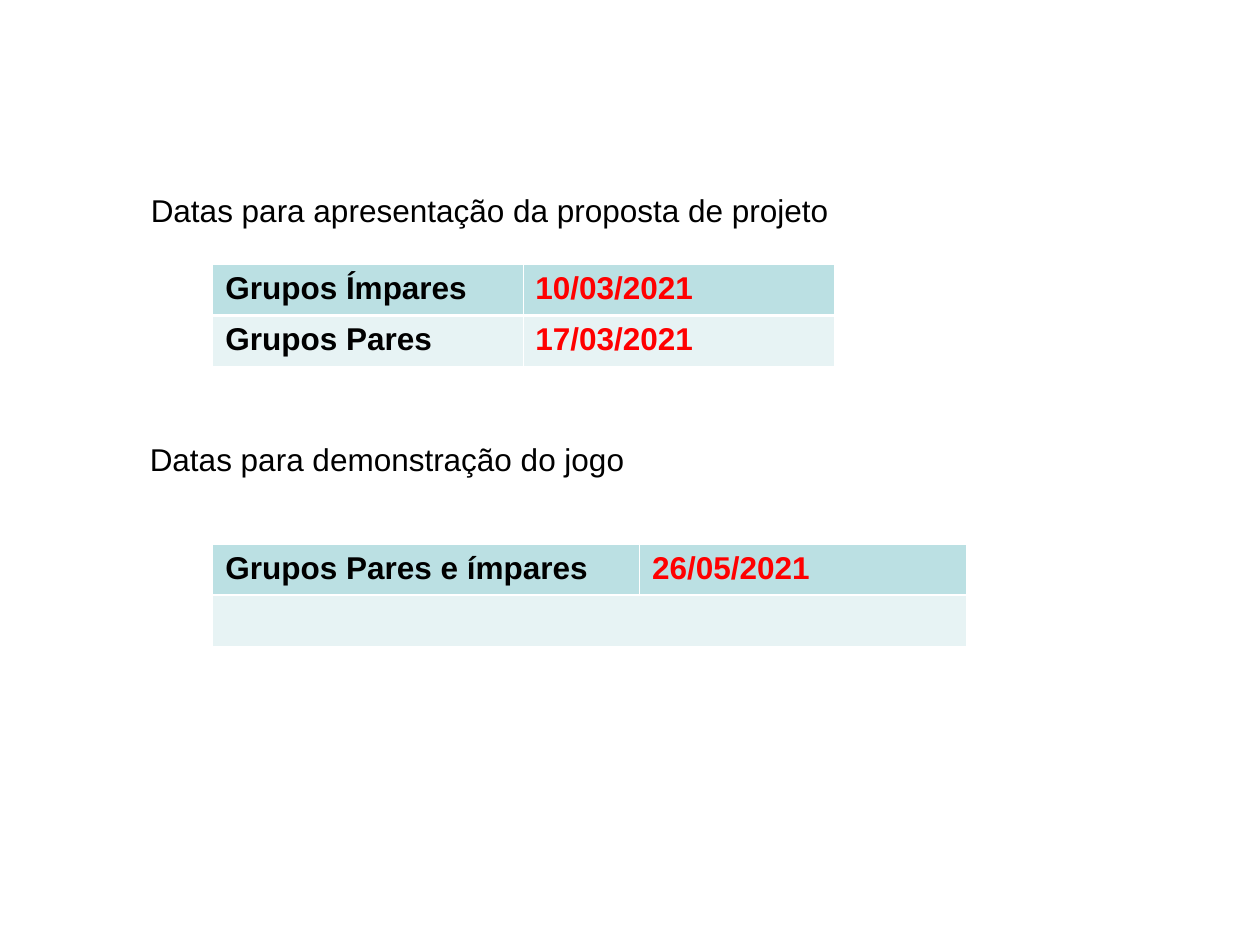
from lxml.etree import SubElement
from pptx import Presentation
from pptx.dml.color import RGBColor
from pptx.enum.text import MSO_AUTO_SIZE
from pptx.oxml.ns import qn
from pptx.util import Cm, Pt

BLACK, RED, WHITE = "000000", "FF0000", "FFFFFF"
ROW_FILLS = ("BBE0E3", "E7F3F4")
ROW_HEIGHT = 1.03
TABLE_LEFT = 4.29
THIN, THICK = 0.45, 1.47


def color(value):
    return RGBColor.from_string(value)


def write_text(text_frame, text, size=18, fill=BLACK, bold=False):
    paragraph = text_frame.paragraphs[0]
    run = paragraph.add_run()
    run.text = text
    run.font.name = "Arial"
    run.font.size = Pt(size)
    run.font.bold = bold
    run.font.color.rgb = color(fill)


def add_heading(slide, text, left, top, width, wrap):
    shape = slide.shapes.add_textbox(Cm(left), Cm(top), Cm(width), Cm(1.02))
    text_frame = shape.text_frame
    text_frame.word_wrap = wrap
    text_frame.auto_size = MSO_AUTO_SIZE.SHAPE_TO_FIT_TEXT
    write_text(text_frame, text)


def add_borders(cell, top, bottom):
    """White lines on the four sides; the sides are always thin."""
    properties = cell._tc.get_or_add_tcPr()
    for side, width in (("L", THIN), ("R", THIN), ("T", top), ("B", bottom)):
        line = SubElement(properties, qn(f"a:ln{side}"), w=str(Pt(width)))
        fill = SubElement(line, qn("a:solidFill"))
        SubElement(fill, qn("a:srgbClr"), val=WHITE)


def add_date_table(slide, top, widths, rows):
    """Each row holds a group and its date; an empty row is merged."""
    frame = slide.shapes.add_table(
        len(rows), len(widths), Cm(TABLE_LEFT), Cm(top),
        Cm(sum(widths)), Cm(ROW_HEIGHT * len(rows)))
    table = frame.table
    for column, width in zip(table.columns, widths):
        column.width = Cm(width)
    for row_index, texts in enumerate(rows):
        table.rows[row_index].height = Cm(ROW_HEIGHT)
        top_line, bottom_line = (THICK, THIN) if row_index else (THIN, THICK)
        for column_index in range(len(widths)):
            cell = table.cell(row_index, column_index)
            add_borders(cell, top_line, bottom_line)
            cell.fill.solid()
            cell.fill.fore_color.rgb = color(ROW_FILLS[row_index])
            if texts:
                write_text(cell.text_frame, texts[column_index], bold=True,
                           fill=RED if column_index else BLACK)
        if not texts:
            table.cell(row_index, 0).merge(
                table.cell(row_index, len(widths) - 1))


def main():
    presentation = Presentation()
    presentation.slide_width, presentation.slide_height = Cm(25.4), Cm(19.05)
    slide = presentation.slides.add_slide(presentation.slide_layouts[6])

    # Project proposal dates
    add_heading(slide, "Datas para apresentação da proposta de projeto",
                2.79, 3.73, 14.17, wrap=False)
    add_date_table(slide, 5.33, (6.25, 6.27), (
        ("Grupos Ímpares", "10/03/2021"),
        ("Grupos Pares", "17/03/2021")))

    # Game demonstration dates
    add_heading(slide, "Datas para demonstração do jogo",
                2.77, 8.74, 10.13, wrap=True)
    add_date_table(slide, 10.97, (8.6, 6.6), (
        ("Grupos Pares e ímpares", "26/05/2021"),
        ()))

    presentation.save("out.pptx")


if __name__ == "__main__":
    main()
